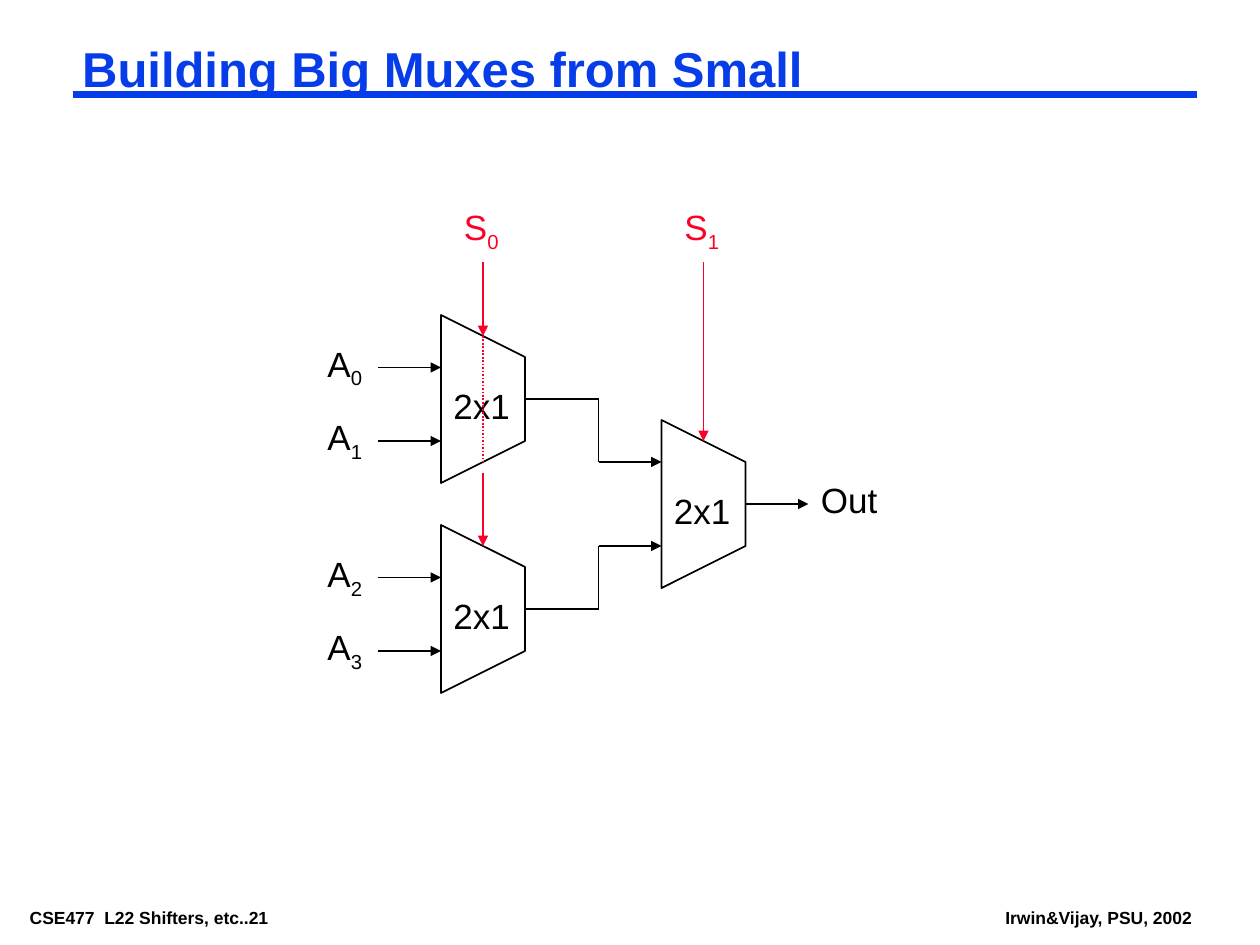
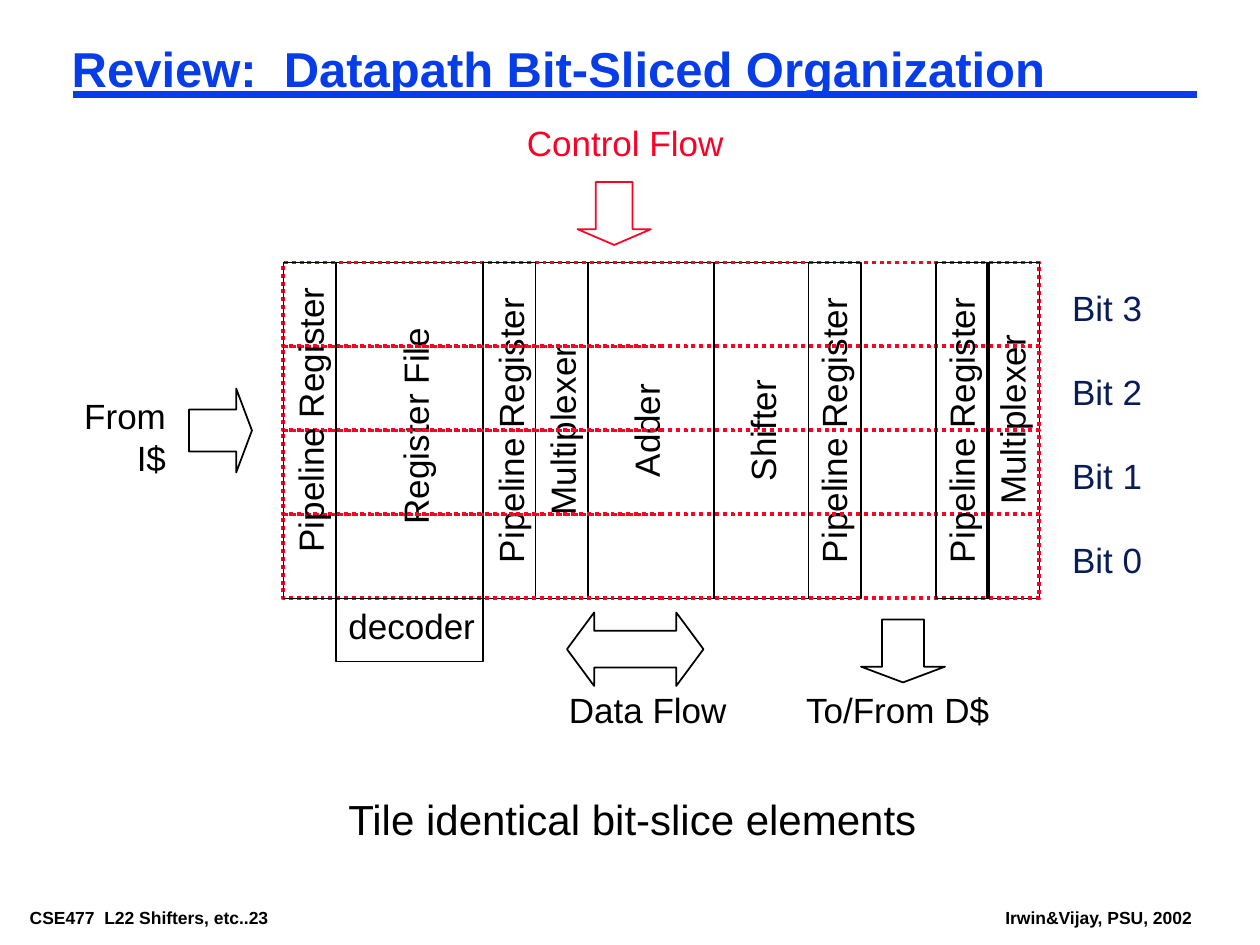
"""Build two lecture slides on multiplexer trees and bit-sliced datapaths."""
from dataclasses import dataclass

from lxml import etree
from pptx import Presentation
from pptx.dml.color import RGBColor
from pptx.enum.dml import MSO_LINE
from pptx.enum.shapes import MSO_CONNECTOR, MSO_SHAPE
from pptx.enum.text import MSO_ANCHOR, MSO_AUTO_SIZE, PP_ALIGN
from pptx.oxml.ns import qn
from pptx.util import Pt

LEFT, CENTER, RIGHT = PP_ALIGN.LEFT, PP_ALIGN.CENTER, PP_ALIGN.RIGHT
TOP, NO_AUTOFIT = MSO_ANCHOR.TOP, MSO_AUTO_SIZE.NONE
STRAIGHT, DOTTED = MSO_CONNECTOR.STRAIGHT, MSO_LINE.ROUND_DOT
RECTANGLE = MSO_SHAPE.RECTANGLE
DOWN_ARROW, RIGHT_ARROW = MSO_SHAPE.DOWN_ARROW, MSO_SHAPE.RIGHT_ARROW
TWO_WAY_ARROW = MSO_SHAPE.LEFT_RIGHT_ARROW
TITLE_ONLY = 5


@dataclass(frozen=True)
class Theme:
    font: str = "Arial"
    ink: RGBColor = RGBColor(0, 0, 0)
    blue: RGBColor = RGBColor(0x06, 0x3D, 0xE8)
    red: RGBColor = RGBColor(0xFC, 0x01, 0x28)
    navy: RGBColor = RGBColor(0x08, 0x1D, 0x58)
    title_size: float = 28
    summary_size: float = 24
    label_size: float = 20
    footer_size: float = 10
    thin: float = 1
    slice_line: float = 2.25
    rule: float = 4.5
    label_insets: tuple = (7.2, 3.6)
    tight_insets: tuple = (5, 2.5)


THEME = Theme()


class Deck:
    """Hold the theme, the presentation and the current slide."""

    def __init__(self, theme):
        self.theme = theme
        self.prs = Presentation()
        self.prs.slide_width, self.prs.slide_height = Pt(720), Pt(540)
        self.slide = None

    def new_slide(self, title, title_left, number):
        """Start a slide with its title, rule and footers."""
        theme = self.theme
        self.slide = self.prs.slides.add_slide(self.prs.slide_layouts[TITLE_ONLY])
        heading = self.slide.shapes.title
        box = dict(left=title_left, top=24, width=642, height=33)
        for name, value in box.items():
            setattr(heading, name, Pt(value))
        self.fill_text(heading.text_frame, title, theme.title_size, theme.blue,
                       bold=True, insets=theme.tight_insets, spacing=0.87)
        self.line((42, 54), (684, 54), theme.blue, theme.rule)
        for text, left, width in ((f"CSE477  L22 Shifters, etc..{number}", 12, 184),
                                  ("Irwin&Vijay, PSU, 2002", 569.5, 117.5)):
            self.label(text, left, 516, width, 16, size=theme.footer_size,
                       bold=True, wrap=False, insets=theme.tight_insets)

    def fill_text(self, frame, text, size, color, bold=False, align=LEFT,
                  wrap=True, insets=None, spacing=None, subscript=""):
        """Fill a text frame with one formatted paragraph."""
        side, edge = insets or self.theme.label_insets
        layout = dict(word_wrap=wrap, auto_size=NO_AUTOFIT, vertical_anchor=TOP,
                      margin_left=Pt(side), margin_right=Pt(side),
                      margin_top=Pt(edge), margin_bottom=Pt(edge))
        for name, value in layout.items():
            setattr(frame, name, value)
        paragraph = frame.paragraphs[0]
        paragraph.alignment = align
        if spacing:
            paragraph.line_spacing = spacing
        for part in filter(None, (text, subscript)):
            run = paragraph.add_run()
            run.text = part
            style = dict(name=self.theme.font, size=Pt(size), bold=bold)
            for name, value in style.items():
                setattr(run.font, name, value)
            run.font.color.rgb = color
        if subscript:
            run._r.get_or_add_rPr().set("baseline", "-25000")

    def label(self, text, left, top, width, height=32, size=None, color=None,
              rotation=0, **style):
        """Add a text box."""
        box = self.slide.shapes.add_textbox(Pt(left), Pt(top), Pt(width), Pt(height))
        box.rotation = rotation
        self.fill_text(box.text_frame, text, size or self.theme.label_size,
                       color or self.theme.ink, **style)

    def vertical_label(self, text, center_x, center_y, length=192, height=32):
        """Add a centred label that reads upwards."""
        self.label(text, center_x - length / 2, center_y - height / 2, length,
                   height, rotation=270, align=CENTER)

    def outline(self, shape, color=None, weight=None, dash=None):
        """Leave a shape unfilled and style its border."""
        shape.shadow.inherit = False
        shape.fill.background()
        self.stroke(shape.line, color, weight, dash)

    def stroke(self, line, color=None, weight=None, dash=None):
        """Set the colour, weight and dash of a line."""
        line.color.rgb = color or self.theme.ink
        line.width = Pt(weight or self.theme.thin)
        if dash:
            line.dash_style = dash

    def shape(self, kind, left, top, width, height, adjustments=(), **border):
        """Add an unfilled preset shape."""
        shape = self.slide.shapes.add_shape(kind, Pt(left), Pt(top),
                                            Pt(width), Pt(height))
        for index, value in enumerate(adjustments):
            shape.adjustments[index] = value
        self.outline(shape, **border)

    def line(self, start, end, color=None, weight=None, dash=None, arrow=False):
        """Add a straight connector, with an arrowhead if asked."""
        ends = (Pt(value) for value in (*start, *end))
        connector = self.slide.shapes.add_connector(STRAIGHT, *ends)
        self.stroke(connector.line, color, weight, dash)
        if arrow:
            line_xml = connector.line._get_or_add_ln()
            etree.SubElement(line_xml, qn("a:tailEnd")).set("type", "triangle")
        etree.SubElement(connector._element.spPr, qn("a:effectLst"))

    def mux(self, left, top):
        """Add a 2x1 multiplexer."""
        right, bottom, slope = left + 48, top + 96, 24
        builder = self.slide.shapes.build_freeform(left, bottom, scale=Pt(1))
        builder.add_line_segments([(left, top), (right, top + slope),
                                   (right, bottom - slope)], close=True)
        self.outline(builder.convert_to_shape())
        self.label("2x1", left, top + 36, 48)


def build_mux_tree(deck):
    """Draw a four-input multiplexer made of three small ones."""
    deck.new_slide("Building Big Muxes from Small", 42, 21)
    red = deck.theme.red
    first_left, final_left, final_top, bend = 252, 378, 240, 342
    for stage, (top, entry) in enumerate(((180, 264), (300, 312))):
        deck.mux(first_left, top)
        for pin, offset in enumerate((30, 72)):
            y = top + offset
            deck.label("A", 180, y - 18, 48, 35, subscript=str(2 * stage + pin))
            deck.line((216, y), (first_left, y), arrow=True)
        middle = top + 48
        deck.line((first_left + 48, middle), (bend, middle))
        deck.line((bend, middle), (bend, entry))
        deck.line((bend, entry), (final_left, entry), arrow=True)
    deck.mux(final_left, final_top)
    deck.line((426, 288), (462, 288), arrow=True)
    deck.label("Out", 462, 270, 48)
    for select, (left, tip) in enumerate(((first_left, 192), (final_left, 252))):
        deck.label("S", left + 6, 114, 36, 35, color=red, subscript=str(select))
        deck.line((left + 24, 150), (left + 24, tip), red, arrow=True)
    deck.line((276, 192), (276, 264), red, dash=DOTTED)
    deck.line((276, 270), (276, 312), red, arrow=True)


def build_datapath(deck):
    """Draw the datapath units crossed by four bit slices."""
    deck.new_slide("Review:  Datapath Bit-Sliced Organization", 36, 23)
    red = deck.theme.red
    path_left, path_top, path_width, path_height = 162, 150, 432, 192
    slice_height = path_height / 4

    def draw_units(units):
        for left, width, name, center_x, center_y in units:
            deck.shape(RECTANGLE, left, path_top, width, path_height)
            deck.vertical_label(name, center_x, center_y)

    def draw_slice(bit):
        top = path_top + (3 - bit) * slice_height
        deck.shape(RECTANGLE, path_left, top, path_width, slice_height,
                   color=red, weight=deck.theme.slice_line, dash=DOTTED)
        deck.label(f"Bit {bit}", 605.5, top + 10, 54, color=deck.theme.navy,
                   wrap=False)

    draw_units([(192, 84, "Register File", 237.5, 243.5),
                (306, 30, "Multiplexer", 321.5, 246),
                (336, 72, "Adder", 369.5, 246),
                (408, 54, "Shifter", 436, 246)])
    draw_slice(3)
    draw_units([(276, 30, "Pipeline Register", 292, 246),
                (462, 30, "Pipeline Register", 476.5, 246),
                (564, 30, "Multiplexer", 578.5, 240)])
    for bit in (2, 1, 0):
        draw_slice(bit)
    draw_units([(path_left, 30, "Pipeline Register", 177.5, 240),
                (535, 30, "Pipeline Register", 549.5, 246)])

    deck.shape(RECTANGLE, 192, 342, 84, 36)
    deck.label("decoder", 192, 342, 86.5, wrap=False)
    deck.label("Control Flow", 294, 66, 127, color=red, wrap=False)
    deck.shape(DOWN_ARROW, 330, 104, 42, 36, (0.5, 0.25), color=red)
    deck.label("From I$", 30, 222, 72, 55.5, align=RIGHT)
    deck.shape(RIGHT_ARROW, 108, 222, 36, 48, (0.5, 0.25))
    deck.shape(TWO_WAY_ARROW, 324, 350, 78, 42, (0.5, 0.37))
    deck.label("Data Flow", 318, 390, 104.5, wrap=False)
    deck.shape(DOWN_ARROW, 492, 354, 48, 36, (0.5, 0.25))
    deck.label("To/From D$", 450, 390, 126, align=CENTER)
    deck.label("Tile identical bit-slice elements", 192, 450, 340, 36,
               size=deck.theme.summary_size, wrap=False)


def main():
    """Build both slides and save them."""
    deck = Deck(THEME)
    build_mux_tree(deck)
    build_datapath(deck)
    deck.prs.save("out.pptx")


if __name__ == "__main__":
    main()
